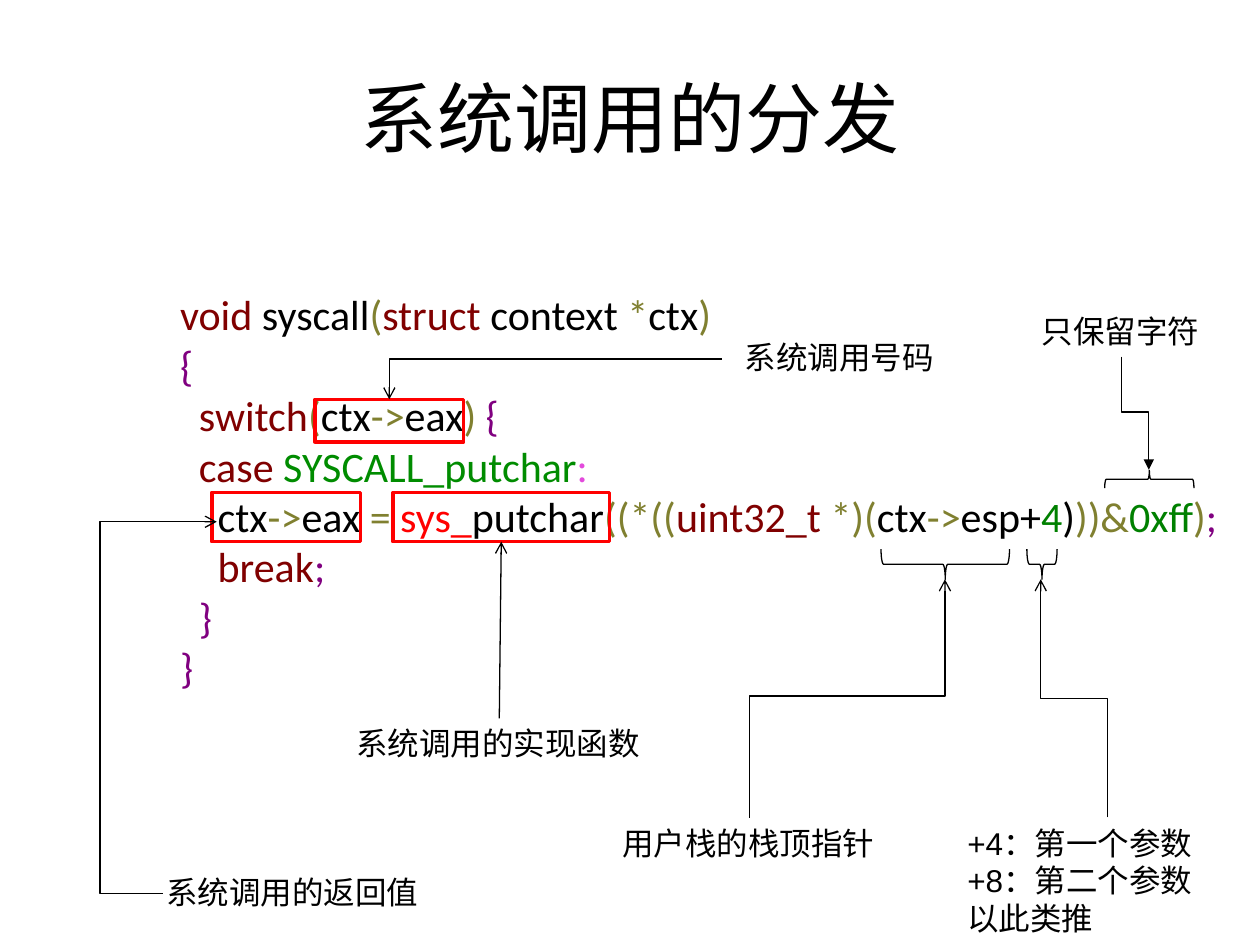
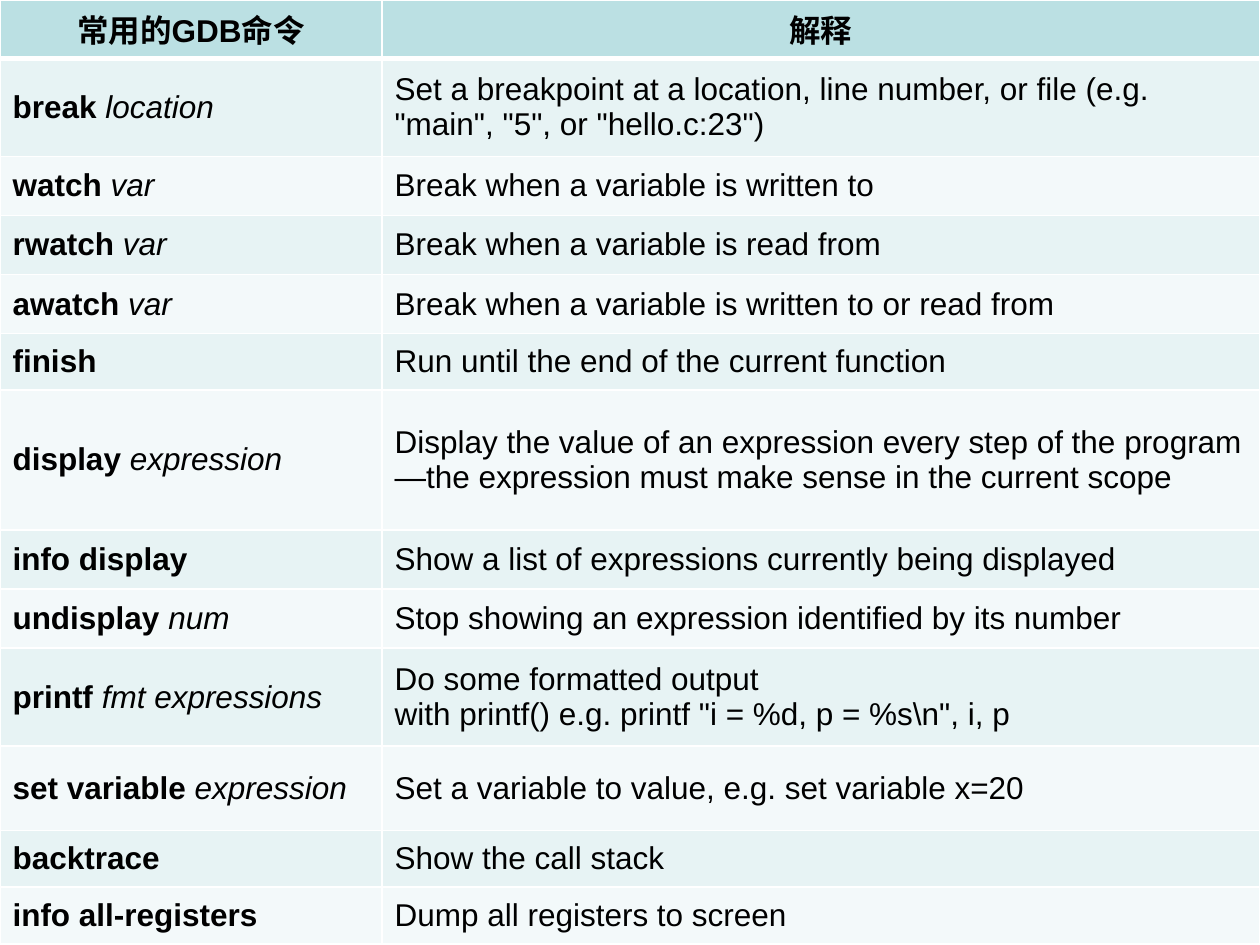
from dataclasses import dataclass
from typing import NamedTuple

from lxml.etree import SubElement
from pptx import Presentation
from pptx.dml.color import RGBColor
from pptx.enum.shapes import MSO_CONNECTOR as Connector, MSO_SHAPE as Preset
from pptx.enum.text import MSO_ANCHOR as Anchor, MSO_AUTO_SIZE as AutoSize, PP_ALIGN as Align
from pptx.oxml import parse_xml
from pptx.oxml.ns import nsdecls, qn
from pptx.util import Cm, Pt

BLACK = RGBColor(0x00, 0x00, 0x00)
WHITE = RGBColor(0xFF, 0xFF, 0xFF)
RED = RGBColor(0xFF, 0x00, 0x00)
KEYWORD = RGBColor(0x80, 0x00, 0x00)
OPERATOR = RGBColor(0x80, 0x80, 0x30)
BRACKET = RGBColor(0x80, 0x00, 0x80)
CONSTANT = RGBColor(0x00, 0x8C, 0x00)
NUMBER = RGBColor(0x00, 0x80, 0x00)
COLON = RGBColor(0xE3, 0x4A, 0xDC)
HEADER_FILL = RGBColor(0xBB, 0xE0, 0xE3)
ROW_FILLS = (RGBColor(0xE7, 0xF3, 0xF4), RGBColor(0xF3, 0xF9, 0xFA))

BODY_FONT = "Arial"
CODE_FONT = "Calibri"
BODY_SIZE = 18
CODE_INDENT = 0.38
NBSP = chr(160)


class Box(NamedTuple):
    left: float
    top: float
    width: float
    height: float

    def lengths(self) -> list:
        return [Cm(value) for value in self]


class Point(NamedTuple):
    x: float
    y: float


class CodeLine(NamedTuple):
    level: int
    runs: tuple


class Label(NamedTuple):
    box: Box
    lines: tuple
    wrap: bool = False


class Brace(NamedTuple):
    box: Box
    rotation: int


@dataclass
class Elbow:
    start: Point
    end: Point
    bend: float = 0.5
    vertical: bool = True
    single_bend: bool = False
    head: str = "arrow"


class Command(NamedTuple):
    name: str
    argument: str
    meaning: str
    height: float = 1.19


TITLE_BOX = Box(1.27, 0.76, 22.86, 3.18)
CODE_BOX = Box(3.38, 5.66, 21.92, 8.46)
CODE = (
    CodeLine(0, (("void ", KEYWORD), ("syscall", BLACK), ("(", OPERATOR), ("struct", KEYWORD),
                 (" context ", BLACK), ("*", OPERATOR), ("ctx", BLACK), (")", OPERATOR))),
    CodeLine(0, (("{", BRACKET),)),
    CodeLine(1, (("switch", KEYWORD), ("(", OPERATOR), ("ctx", BLACK), ("->", OPERATOR),
                 ("eax", BLACK), (") ", OPERATOR), ("{", BRACKET))),
    CodeLine(1, (("case ", KEYWORD), ("SYSCALL_putchar", CONSTANT), (":", COLON))),
    CodeLine(2, (("ctx", BLACK), ("->", OPERATOR), ("eax ", BLACK), ("= ", OPERATOR),
                 ("sys_", RED), ("putchar", BLACK), ("((*((", OPERATOR), ("uint32_t ", KEYWORD),
                 ("*)(", OPERATOR), ("ctx", BLACK), ("->", OPERATOR), ("esp+", BLACK),
                 ("4", NUMBER), (")", BLACK), ("))&", OPERATOR), ("0xff", NUMBER),
                 (")", OPERATOR), (";", BRACKET))),
    CodeLine(2, (("break", KEYWORD), (";", BRACKET))),
    CodeLine(1, (("}", BRACKET),)),
    CodeLine(0, (("}", BRACKET),)),
)

IMPLEMENTATION = Label(Box(6.93, 14.48, 6.27, 1.02), ("系统调用的实现函数",))
LABELS = (
    Label(Box(14.76, 6.68, 4.37, 1.02), ("系统调用号码",)),
    Label(Box(12.29, 16.48, 5.64, 1.02), ("用户栈的栈顶指针",)),
    Label(Box(3.1, 17.48, 5.64, 1.02), ("系统调用的返回值",)),
    Label(Box(19.25, 16.48, 6.15, 2.57),
          ("+4：第一个参数", "+8：第二个参数", "以此类推"), True),
    Label(Box(20.75, 6.17, 3.71, 1.02), ("只保留字符",)),
)
FUNCTION_FRAME = Box(7.92, 9.93, 4.37, 0.99)
VALUE_FRAMES = (Box(4.27, 9.93, 3, 0.99), Box(6.35, 8.05, 3, 0.86))
BRACES = (
    Brace(Box(18.75, 10.08, 0.61, 2.59), 90),
    Brace(Box(20.7, 11.07, 0.61, 0.61), 90),
    Brace(Box(22.99, 8.76, 0.36, 1.8), 270),
)
ELBOWS = (
    Elbow(Point(14.55, 7.24), Point(7.85, 8.05), vertical=False, single_bend=True),
    Elbow(Point(15.11, 16.48), Point(19.05, 11.68), 0.51),
    Elbow(Point(3.28, 18.01), Point(4.37, 10.52), -1.16, vertical=False),
    Elbow(Point(22.33, 16.48), Point(20.98, 11.68)),
    Elbow(Point(22.61, 7.19), Point(23.16, 9.47), 0.49, head="triangle"),
)

COLUMN_WIDTHS = (7.7, 17.7)
HEADINGS = ("常用的GDB命令", "解释")
HEADER_HEIGHT = 1.14
COMMANDS = (
    Command("break", "location", "Set a breakpoint at a location, line number, or file "
            '(e.g. "main", "5", or "hello.c:23")', 1.98),
    Command("watch", "var", "Break when a variable is written to"),
    Command("rwatch", "var", "Break when a variable is read from"),
    Command("awatch", "var", "Break when a variable is written to or read from"),
    Command("finish", "", "Run until the end of the current function", 1.14),
    Command("display", "expression", "Display the value of an expression every step of the "
            "program—the expression must make sense in the current scope", 2.82),
    Command("info display", "", "Show a list of expressions currently being displayed"),
    Command("undisplay", "num", "Stop showing an expression identified by its number"),
    Command("printf", "fmt expressions", "Do some formatted output "
            + r'with printf() e.g. printf "i = %d, p = %s\n", i, p'.replace(" ", NBSP), 1.98),
    Command("set variable", "expression", "Set a variable to value, e.g. set variable x=20", 1.7),
    Command("backtrace", "", "Show the call stack", 1.14),
    Command("info all-registers", "", "Dump all registers to screen", 1.14),
)


def add_run(paragraph, text: str, size: int = BODY_SIZE, color: RGBColor = BLACK,
            font: str = BODY_FONT, bold: bool = False, italic: bool = False) -> None:
    run = paragraph.add_run()
    run.text = text
    run.font.name = font
    run.font.size = Pt(size)
    run.font.color.rgb = color
    run.font.bold = bold
    run.font.italic = italic


def add_paragraph(frame, index: int):
    return frame.paragraphs[0] if index == 0 else frame.add_paragraph()


def add_text_box(slide, box: Box, wrap: bool = True, anchor=Anchor.TOP):
    shape = slide.shapes.add_textbox(*box.lengths())
    shape.text_frame.word_wrap = wrap
    shape.text_frame.vertical_anchor = anchor
    return shape


def add_title(slide, text: str) -> None:
    paragraph = add_text_box(slide, TITLE_BOX, anchor=Anchor.MIDDLE).text_frame.paragraphs[0]
    paragraph.alignment = Align.CENTER
    add_run(paragraph, text, size=44)


def add_code(slide) -> None:
    frame = add_text_box(slide, CODE_BOX, anchor=Anchor.MIDDLE).text_frame
    for index, line in enumerate(CODE):
        paragraph = add_paragraph(frame, index)
        paragraph._p.get_or_add_pPr().set("marL", str(Cm(CODE_INDENT * line.level)))
        for text, color in line.runs:
            add_run(paragraph, text, 24, color, CODE_FONT)


def add_label(slide, label: Label):
    shape = add_text_box(slide, label.box, label.wrap)
    shape.text_frame.auto_size = AutoSize.SHAPE_TO_FIT_TEXT
    for index, text in enumerate(label.lines):
        add_run(add_paragraph(shape.text_frame, index), text)
    return shape


def add_outline(slide, preset: Preset, box: Box, color: RGBColor, width: float):
    shape = slide.shapes.add_shape(preset, *box.lengths())
    shape.shadow.inherit = False
    shape.fill.background()
    shape.line.color.rgb = color
    shape.line.width = Pt(width)
    return shape


def add_arrow(slide, kind: Connector, start: Point, end: Point, head: str = "arrow"):
    connector = slide.shapes.add_connector(kind, Cm(start.x), Cm(start.y), Cm(end.x), Cm(end.y))
    connector.line.color.rgb = BLACK
    connector.line.width = Pt(0.75)
    SubElement(connector.line._get_or_add_ln(), qn("a:tailEnd"), type=head)
    SubElement(connector._element.spPr, qn("a:effectLst"))
    return connector


def add_elbow(slide, elbow: Elbow) -> None:
    start, end = elbow.start, elbow.end
    rotation = 0
    if elbow.vertical:
        center = Point((start.x + end.x) / 2, (start.y + end.y) / 2)
        down = end.y > start.y
        half_run = abs(end.y - start.y) / 2
        half_rise = (start.x - end.x if down else end.x - start.x) / 2
        start = Point(center.x - half_run, center.y - half_rise)
        end = Point(center.x + half_run, center.y + half_rise)
        rotation = 90 if down else 270
    connector = add_arrow(slide, Connector.ELBOW, start, end, elbow.head)
    properties = connector._element.spPr
    properties.find(qn("a:xfrm")).set("rot", str(rotation * 60000))
    geometry = properties.find(qn("a:prstGeom"))
    if elbow.single_bend:
        geometry.set("prst", "bentConnector2")
    else:
        SubElement(geometry.find(qn("a:avLst")), qn("a:gd"), name="adj1",
                   fmla=f"val {round(elbow.bend * 100000)}")


def style_cell(cell, fill: RGBColor, top: int = 1, bottom: int = 1) -> None:
    cell.fill.solid()
    cell.fill.fore_color.rgb = fill
    properties = cell._tc.get_or_add_tcPr()
    for index, (side, width) in enumerate(zip("LRTB", (1, 1, top, bottom))):
        properties.insert(index, parse_xml(
            f'<a:ln{side} {nsdecls("a")} w="{Pt(width)}"><a:solidFill>'
            f'<a:srgbClr val="{WHITE}"/></a:solidFill></a:ln{side}>'))


def add_command_table(slide) -> None:
    heights = (HEADER_HEIGHT, *(command.height for command in COMMANDS))
    box = Box(0, 0, sum(COLUMN_WIDTHS), sum(heights))
    table = slide.shapes.add_table(len(heights), len(COLUMN_WIDTHS), *box.lengths()).table
    for column, width in zip(table.columns, COLUMN_WIDTHS):
        column.width = Cm(width)
    for row, height in zip(table.rows, heights):
        row.height = Cm(height)
    for cell, heading in zip(table.rows[0].cells, HEADINGS):
        style_cell(cell, HEADER_FILL, bottom=3)
        paragraph = cell.text_frame.paragraphs[0]
        paragraph.alignment = Align.CENTER
        add_run(paragraph, heading, bold=True)
    for index, command in enumerate(COMMANDS):
        name_cell, meaning_cell = table.rows[index + 1].cells
        for cell in (name_cell, meaning_cell):
            style_cell(cell, ROW_FILLS[index % 2], top=3 if index == 0 else 1)
            cell.vertical_anchor = Anchor.MIDDLE
        paragraph = name_cell.text_frame.paragraphs[0]
        add_run(paragraph, command.name + (NBSP if command.argument else ""), bold=True)
        if command.argument:
            add_run(paragraph, command.argument.replace(" ", NBSP), italic=True)
        add_run(meaning_cell.text_frame.paragraphs[0], command.meaning)


def build_dispatch_slide(slide) -> None:
    add_title(slide, "系统调用的分发")
    add_code(slide)
    for brace in BRACES:
        add_outline(slide, Preset.RIGHT_BRACE, brace.box, BLACK, 0.75).rotation = brace.rotation
    for label in LABELS:
        add_label(slide, label)
    for frame in VALUE_FRAMES:
        add_outline(slide, Preset.RECTANGLE, frame, RED, 2)
    for elbow in ELBOWS:
        add_elbow(slide, elbow)
    function_frame = add_outline(slide, Preset.RECTANGLE, FUNCTION_FRAME, RED, 2)
    implementation = add_label(slide, IMPLEMENTATION)
    arrow = add_arrow(slide, Connector.STRAIGHT, Point(10.08, 14.48), Point(10.11, 10.92))
    arrow.begin_connect(implementation, 0)
    arrow.end_connect(function_frame, 2)


def main() -> None:
    presentation = Presentation()
    presentation.slide_width = Cm(25.4)
    presentation.slide_height = Cm(19.05)
    blank = presentation.slide_layouts[6]
    for build in (build_dispatch_slide, add_command_table):
        build(presentation.slides.add_slide(blank))
    presentation.save("out.pptx")


if __name__ == "__main__":
    main()
